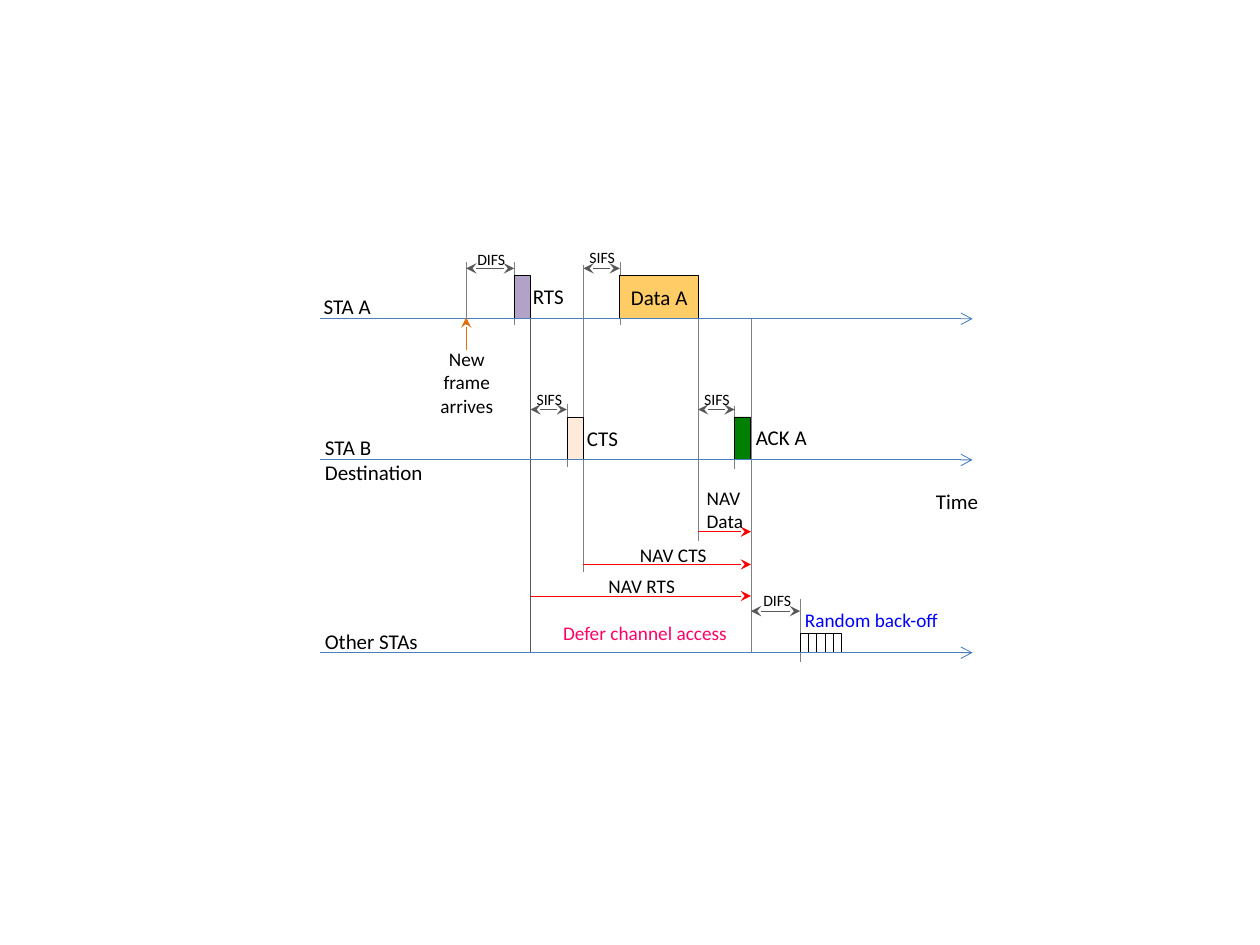
from lxml.etree import SubElement
from pptx import Presentation
from pptx.dml.color import RGBColor
from pptx.enum.shapes import MSO_CONNECTOR as Connector, MSO_SHAPE as Shape
from pptx.enum.text import MSO_AUTO_SIZE as AutoSize, PP_ALIGN as Align
from pptx.oxml.ns import qn
from pptx.util import Inches, Pt

FONT = "Calibri"
BLACK, GREY, DARK_GREY = "000000", "808080", "595959"
RED, AXIS_BLUE = "FF0000", "4B7EBC"

# Moments on the time axis
ARRIVAL = 3.7
RTS_START, RTS_END = 4.08, 4.21
CTS_START, CTS_END = 4.5, 4.63
DATA_START, DATA_END = 4.92, 5.54
ACK_START, ACK_END = 5.83, 5.96
BACKOFF_START, BACKOFF_END = 6.35, 6.68
SLOT_COUNT = 5

# Heights of the three station axes
STA_A, STA_B, OTHERS = 2.53, 3.65, 5.18
AXIS_START, AXIS_END = 2.54, 7.72
FRAME_HEIGHT, SLOT_HEIGHT = 0.34, 0.15
TICK_HEIGHT = 0.5


def color(hex_string):
    return RGBColor.from_string(hex_string)


def add_line(slide, start, end, line_color, width=0.25, head=None, tail=None):
    line = slide.shapes.add_connector(
        Connector.STRAIGHT, *(Inches(value) for value in (*start, *end)))
    line.line.color.rgb = color(line_color)
    line.line.width = Pt(width)
    outline = line.line._get_or_add_ln()
    for tag, arrow in (("a:headEnd", head), ("a:tailEnd", tail)):
        if arrow:
            SubElement(outline, qn(tag), type=arrow)
    SubElement(line._element.spPr, qn("a:effectLst"))


def add_guide(slide, x, top, bottom, line_color=GREY):
    add_line(slide, (x, top), (x, bottom), line_color)


def add_gap(slide, start, end, y):
    """Double-headed arrow for an interframe space."""
    add_line(slide, (start, y), (end, y), DARK_GREY,
             head="stealth", tail="stealth")


def add_frame(slide, start, end, axis, height=FRAME_HEIGHT, fill=None):
    """Box standing on a station axis."""
    frame = slide.shapes.add_shape(
        Shape.RECTANGLE, Inches(start), Inches(axis - height),
        Inches(end - start), Inches(height))
    frame.shadow.inherit = False
    if fill:
        frame.fill.solid()
        frame.fill.fore_color.rgb = color(fill)
    else:
        frame.fill.background()
    frame.line.color.rgb = color(BLACK)
    frame.line.width = Pt(0.5)


def add_label(slide, text, left, top, width, height, size=12,
              text_color=BLACK, align=Align.LEFT):
    box = slide.shapes.add_textbox(
        *(Inches(value) for value in (left, top, width, height)))
    frame = box.text_frame
    frame.word_wrap = False
    frame.auto_size = AutoSize.SHAPE_TO_FIT_TEXT
    paragraph = frame.paragraphs[0]
    paragraph.text = text
    paragraph.alignment = align
    paragraph.font.name = FONT
    paragraph.font.size = Pt(size)
    paragraph.font.color.rgb = color(text_color)


def add_guides(slide):
    # Long guides across the stations
    add_guide(slide, ACK_END, STA_A, OTHERS)
    add_guide(slide, DATA_END, 2.25, 4.29)
    add_guide(slide, RTS_END, 2.38, OTHERS, DARK_GREY)
    add_guide(slide, CTS_END, 2.1, 4.54)
    # Short ticks at the end of each interframe space
    for x, top in ((ARRIVAL, 2.08), (RTS_START, 2.08), (DATA_START, 2.08),
                   (CTS_START, 3.21), (ACK_START, 3.22),
                   (BACKOFF_START, 4.75)):
        add_guide(slide, x, top, top + TICK_HEIGHT)


def add_frames(slide):
    for start, end, axis, fill in (
            (RTS_START, RTS_END, STA_A, "B3A2C7"),
            (DATA_START, DATA_END, STA_A, "FFCC66"),
            (CTS_START, CTS_END, STA_B, "FDEADA"),
            (ACK_START, ACK_END, STA_B, "008000")):
        add_frame(slide, start, end, axis, fill=fill)
    # Random back-off slots
    slot_width = (BACKOFF_END - BACKOFF_START) / SLOT_COUNT
    for index in range(SLOT_COUNT):
        start = BACKOFF_START + index * slot_width
        add_frame(slide, start, start + slot_width, OTHERS, SLOT_HEIGHT)


def add_arrows(slide):
    # Interframe spaces
    for start, end, y in ((ARRIVAL, RTS_START, 2.13),
                          (CTS_END, DATA_START, 2.13),
                          (RTS_END, CTS_START, 3.25),
                          (DATA_END, ACK_START, 3.25),
                          (ACK_END, BACKOFF_START, 4.85)):
        add_gap(slide, start, end, y)
    # Network allocation vectors
    for start, y in ((DATA_END, 4.22), (CTS_END, 4.48), (RTS_END, 4.73)):
        add_line(slide, (start, y), (ACK_END, y), RED, tail="stealth")
    # Station axes
    for y in (STA_A, STA_B, OTHERS):
        add_line(slide, (AXIS_START, y), (AXIS_END, y), AXIS_BLUE, 0.5,
                 tail="arrow")
    # Arrival of the new frame
    add_line(slide, (ARRIVAL, 2.78), (ARRIVAL, 2.52), "E46C0A", 0.75,
             tail="stealth")


def add_labels(slide):
    # Stations, time and frames
    for text, left, top, width in (
            ("STA A", 2.47, 2.28, 0.58), ("STA B", 2.48, 3.4, 0.58),
            ("Destination", 2.48, 3.6, 0.99), ("Other STAs", 2.48, 4.94, 0.95),
            ("Time", 7.33, 3.83, 0.54), ("RTS", 4.13, 2.2, 0.45),
            ("Data A", 4.91, 2.21, 0.66), ("CTS", 4.56, 3.33, 0.45),
            ("ACK A", 5.9, 3.32, 0.61)):
        add_label(slide, text, left, top, width, 0.3)
    # Interframe spaces
    for text, left, top, width in (
            ("DIFS", 3.69, 1.93, 0.43), ("SIFS", 4.58, 1.92, 0.41),
            ("SIFS", 4.16, 3.04, 0.41), ("SIFS", 5.49, 3.04, 0.41),
            ("DIFS", 5.96, 4.64, 0.43)):
        add_label(slide, text, left, top, width, 0.25, size=9)
    # Remarks
    for text, left, top, width, height, text_color in (
            ("NAV\vData", 5.51, 3.81, 0.49, 0.47, BLACK),
            ("NAV CTS", 4.98, 4.26, 0.74, 0.29, BLACK),
            ("NAV RTS", 4.73, 4.51, 0.74, 0.29, BLACK),
            ("Defer channel access", 4.37, 4.88, 1.51, 0.29, "FF0066"),
            ("Random back-off", 6.29, 4.78, 1.27, 0.29, "0000FF")):
        add_label(slide, text, left, top, width, height, 11, text_color)
    add_label(slide, "New\vframe\varrives", 3.39, 2.71, 0.63, 0.66, 11,
              align=Align.CENTER)


def main():
    presentation = Presentation()
    presentation.slide_width = Inches(10)
    presentation.slide_height = Inches(7.5)
    slide = presentation.slides.add_slide(presentation.slide_layouts[6])
    add_guides(slide)
    add_frames(slide)
    add_arrows(slide)
    add_labels(slide)
    presentation.save("out.pptx")


if __name__ == "__main__":
    main()
